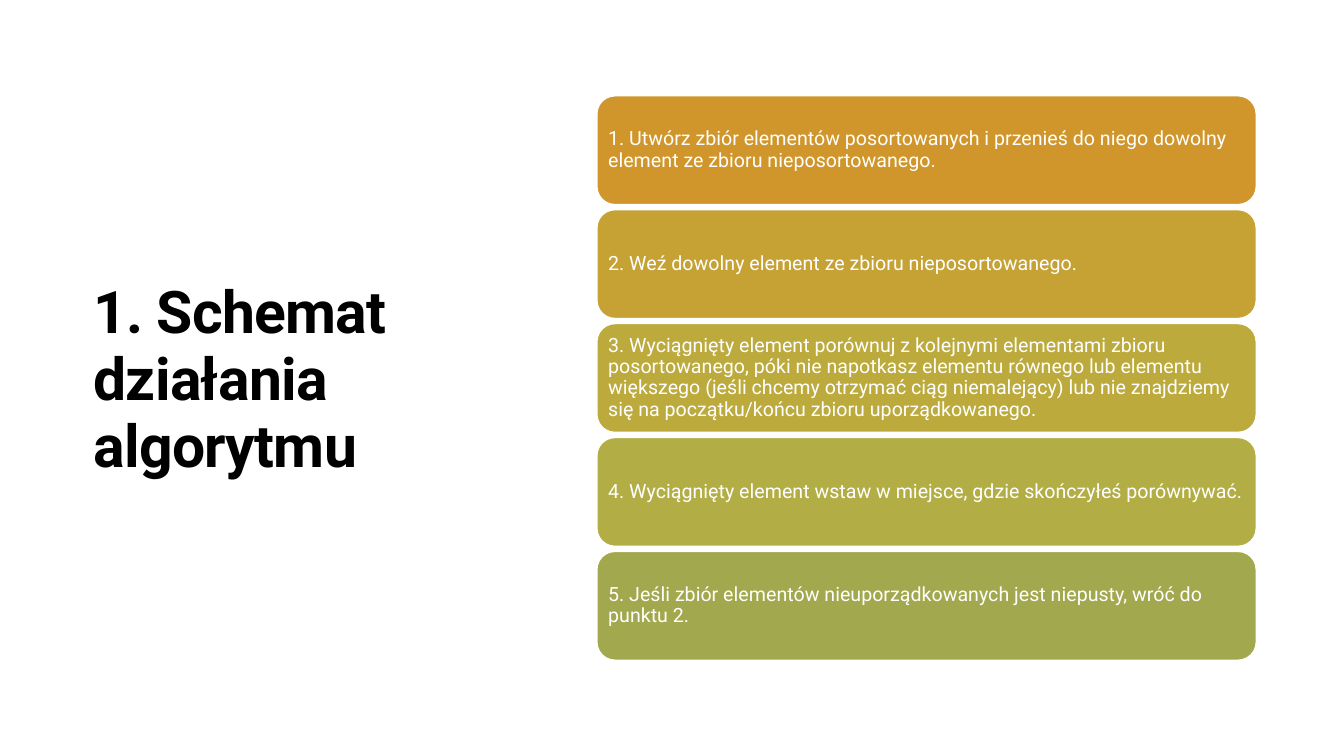
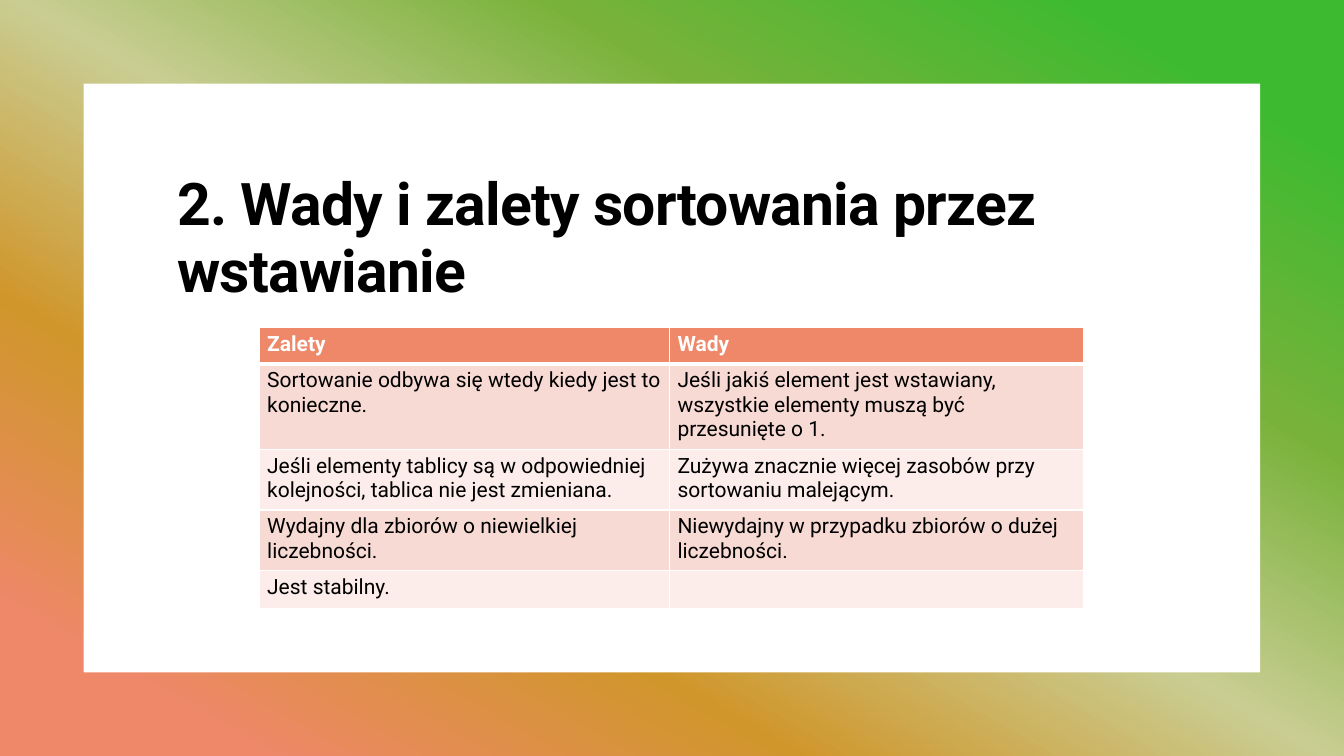
import pptx
import pptx.util
import pptx.dml.color
import pptx.enum.shapes
import pptx.enum.text
import pptx.oxml
import pptx.oxml.ns
import lxml.etree

Inches = pptx.util.Inches
Pt = pptx.util.Pt
RGB = pptx.dml.color.RGBColor
Shape = pptx.enum.shapes.MSO_SHAPE
Anchor = pptx.enum.text.MSO_ANCHOR
Align = pptx.enum.text.PP_ALIGN
qn = pptx.oxml.ns.qn

FONT = "Roboto"
BLACK = RGB(0x00, 0x00, 0x00)
WHITE = RGB(0xFF, 0xFF, 0xFF)
GREEN = RGB(0x3E, 0xBA, 0x30)
LEAF = RGB(0x79, 0xB2, 0x3B)
PALE = RGB(0xC9, 0xCD, 0x92)
OCHRE = RGB(0xD0, 0x96, 0x2B)
SALMON = RGB(0xEE, 0x88, 0x68)
BAND_DARK = RGB(0xF8, 0xDA, 0xD4)
BAND_LIGHT = RGB(0xFC, 0xED, 0xEB)
STEP_FILLS = [OCHRE, RGB(0xC6, 0xA2, 0x34), RGB(0xBC, 0xAA, 0x3C),
              RGB(0xB2, 0xAE, 0x45), RGB(0xA2, 0xA8, 0x4D)]
GRADIENT = [(10, GREEN), (30, LEAF), (50, PALE), (70, OCHRE), (90, SALMON)]

TITLE = {"size": Pt(42), "bold": True, "color": BLACK}
STEP = {"size": Pt(14), "bold": False, "color": WHITE}
HEAD = {"size": Pt(15), "bold": True, "color": WHITE}
BODY = {"size": Pt(15), "bold": False, "color": BLACK}

STEPS = [
    "1. Utwórz zbiór elementów posortowanych i przenieś do niego dowolny element ze zbioru nieposortowanego.",
    "2. Weź dowolny element ze zbioru nieposortowanego.",
    "3. Wyciągnięty element porównuj z kolejnymi elementami zbioru posortowanego, póki nie napotkasz "
    "elementu równego lub elementu większego (jeśli chcemy otrzymać ciąg niemalejący) lub nie znajdziemy "
    "się na początku/końcu zbioru uporządkowanego.",
    "4. Wyciągnięty element wstaw w miejsce, gdzie skończyłeś porównywać.",
    "5. Jeśli zbiór elementów nieuporządkowanych jest niepusty, wróć do punktu 2.",
]
PROS_CONS = [
    ("Zalety", "Wady"),
    ("Sortowanie odbywa się wtedy kiedy jest to konieczne.",
     "Jeśli jakiś element jest wstawiany, wszystkie elementy muszą być przesunięte o 1."),
    ("Jeśli elementy tablicy są w odpowiedniej kolejności, tablica nie jest zmieniana.",
     "Zużywa znacznie więcej zasobów przy sortowaniu malejącym."),
    ("Wydajny dla zbiorów o niewielkiej liczebności.",
     "Niewydajny w przypadku zbiorów o dużej liczebności."),
    ("Jest stabilny.", ""),
]
COL_WIDTHS = [4.07, 4.11]
ROW_HEIGHTS = [0.36, 0.85, 0.6, 0.6, 0.36]


def set_all(obj, values):
    """Set every attribute named in values on obj."""
    for name, value in values.items():
        setattr(obj, name, value)


def write(tf, text, style, frame, spacing=1.0):
    """Write one left-aligned styled paragraph and return its run."""
    set_all(tf, {"word_wrap": True, **frame})
    p = tf.paragraphs[0]
    set_all(p, {"alignment": Align.LEFT, "line_spacing": spacing})
    r = p.add_run()
    r.text = text
    set_all(r.font, {"name": FONT, "size": style["size"], "bold": style["bold"]})
    r.font.color.rgb = style["color"]
    return r


def add_title(slide, box, text, anchor):
    """Add a slide title in the shared title style."""
    tb = slide.shapes.add_textbox(*map(Inches, box))
    r = write(tb.text_frame, text, TITLE, {"vertical_anchor": anchor}, 0.95)
    r.font._element.set("spc", "-50")


def add_block(slide, kind, box, color):
    """Add a flat solid shape without a line."""
    sp = slide.shapes.add_shape(kind, *map(Inches, box))
    sp.shadow.inherit = False
    sp.fill.solid()
    sp.fill.fore_color.rgb = color
    sp.line.fill.background()
    return sp


def add_gradient(slide, box):
    """Fill a box with the diagonal theme gradient."""
    sp = add_block(slide, Shape.RECTANGLE, box, WHITE)
    sp.fill.gradient()
    sp.fill.gradient_angle = 240
    stops = sp._element.spPr.find(".//" + qn("a:gsLst"))
    for gs in list(stops):
        stops.remove(gs)
    for pos, color in GRADIENT:
        gs = lxml.etree.SubElement(stops, qn("a:gs"), pos=str(pos * 1000))
        lxml.etree.SubElement(gs, qn("a:srgbClr"), val=str(color))


def add_steps(slide, box, gap=0.05):
    """Stack the algorithm steps as equal rounded bars in a box."""
    left, top, width, height = box
    bar = (height - gap * (len(STEPS) - 1)) / len(STEPS)
    frame = {"vertical_anchor": Anchor.MIDDLE}
    frame.update({f"margin_{side}": Inches(0.06) for side in ("left", "right", "top", "bottom")})
    for i, (text, color) in enumerate(zip(STEPS, STEP_FILLS)):
        sp = add_block(slide, Shape.ROUNDED_RECTANGLE, (left, top + i * (bar + gap), width, bar), color)
        sp.line.color.rgb = WHITE
        sp.line.width = Pt(1)
        write(sp.text_frame, text, STEP, frame, 0.9)


def add_borders(cell, widths):
    """Give a cell white borders, widths in points by side."""
    tc_pr = cell._tc.get_or_add_tcPr()
    for i, (side, width) in enumerate(widths.items()):
        ln = lxml.etree.Element(qn("a:ln" + side), w=str(Pt(width)))
        fill = lxml.etree.SubElement(ln, qn("a:solidFill"))
        lxml.etree.SubElement(fill, qn("a:srgbClr"), val=str(WHITE))
        tc_pr.insert(i, ln)


def add_pros_cons(slide, left, top):
    """Add the table of advantages and drawbacks."""
    size = (sum(COL_WIDTHS), sum(ROW_HEIGHTS))
    table = slide.shapes.add_table(len(PROS_CONS), len(COL_WIDTHS),
                                   *map(Inches, (left, top, *size))).table
    for col, width in zip(table.columns, COL_WIDTHS):
        col.width = Inches(width)
    margins = {"margin_left": Inches(0.08), "margin_right": Inches(0.08),
               "margin_top": Inches(0.04), "margin_bottom": Inches(0.04)}
    for i, texts in enumerate(PROS_CONS):
        table.rows[i].height = Inches(ROW_HEIGHTS[i])
        color = SALMON if i == 0 else (BAND_LIGHT, BAND_DARK)[i % 2]
        for j, text in enumerate(texts):
            cell = table.cell(i, j)
            set_all(cell, margins)
            cell.fill.solid()
            cell.fill.fore_color.rgb = color
            add_borders(cell, {"L": 1, "R": 1, "T": 3 if i == 1 else 1, "B": 3 if i == 0 else 1})
            write(cell.text_frame, text, BODY if i else HEAD, {})


def build_scheme(slide):
    """Build the slide with the steps of the algorithm."""
    add_title(slide, (0.83, 0.85, 4.27, 5.84), "1. Schemat działania algorytmu", Anchor.MIDDLE)
    add_steps(slide, (5.92, 0.95, 6.54, 5.6))


def build_comparison(slide):
    """Build the framed slide with the comparison table."""
    add_gradient(slide, (0, 0, 13.33, 7.5))
    add_block(slide, Shape.RECTANGLE, (0.83, 0.83, 11.67, 5.84), WHITE)
    add_title(slide, (1.66, 1.66, 10, 1.47), "2. Wady i zalety sortowania przez wstawianie", Anchor.TOP)
    add_pros_cons(slide, 2.57, 3.25)


def main():
    """Create and save the presentation."""
    prs = pptx.Presentation()
    set_all(prs, {"slide_width": Inches(13.33), "slide_height": Inches(7.5)})
    for build in (build_scheme, build_comparison):
        build(prs.slides.add_slide(prs.slide_layouts[6]))
    prs.save("out.pptx")


if __name__ == "__main__":
    main()
